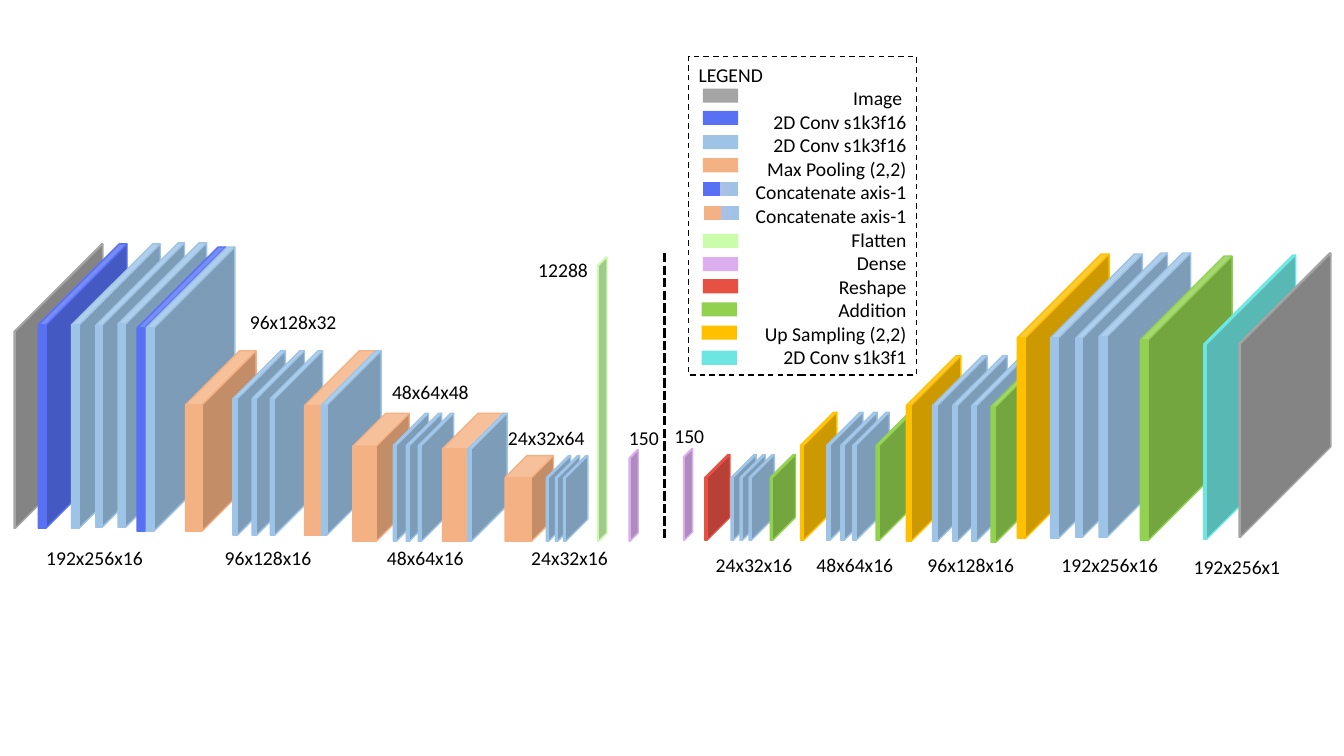
from lxml import etree
from pptx import Presentation
from pptx.dml.color import RGBColor
from pptx.enum.dml import MSO_LINE
from pptx.enum.shapes import MSO_CONNECTOR, MSO_SHAPE
from pptx.enum.text import MSO_ANCHOR, MSO_AUTO_SIZE, PP_ALIGN
from pptx.oxml.ns import qn
from pptx.util import Emu, Pt

CUBE, RECTANGLE = MSO_SHAPE.CUBE, MSO_SHAPE.RECTANGLE
STRAIGHT = MSO_CONNECTOR.STRAIGHT
DASH, SHORT_DASH = MSO_LINE.DASH, MSO_LINE.SQUARE_DOT
LEFT, RIGHT = PP_ALIGN.LEFT, PP_ALIGN.RIGHT
MIDDLE = MSO_ANCHOR.MIDDLE
FIT_TEXT = MSO_AUTO_SIZE.SHAPE_TO_FIT_TEXT

GREY, INDIGO, BLUE, ORANGE = "A5A5A5", "5770F4", "9DC3E6", "F4B183"
MINT, LILAC, RED, GREEN = "CAFCAC", "DDAEEF", "E65144", "92D050"
YELLOW, TEAL, BLACK, WHITE = "FFC000", "6DE6E2", "000000", "FFFFFF"
BLEND = "ABC0E4"
DEPTH = 0.913

# Each stage: layer height, then layers as (left, top, width, colour, depth)
ENCODER = [
    (282, [(14, 242, 88, GREY, 0.986), (38, 242, 88, INDIGO, DEPTH),
           (71, 242, 88, BLUE, DEPTH), (95, 241, 88, BLUE, 0.928),
           (117, 241, 88, BLUE, DEPTH), (136, 245, 88, INDIGO, DEPTH),
           (145, 245, 88, BLUE, DEPTH)]),
    (179, [(184, 348, 70, ORANGE, 0.766)]),
    (183, [(231, 348, 52, BLUE, DEPTH), (250, 348, 52, BLUE, DEPTH),
           (268, 348, 52, BLUE, DEPTH), (302, 348, 71, ORANGE, 0.766),
           (319, 348, 59, BLUE, DEPTH)]),
    (127, [(350, 410, 56, ORANGE, 0.583), (390, 410, 35, BLUE, DEPTH),
           (403, 410, 35, BLUE, DEPTH), (415, 410, 35, BLUE, DEPTH),
           (439, 410, 61, ORANGE, 0.578), (464, 410, 39, BLUE, DEPTH)]),
    (85, [(501, 452, 48, ORANGE, 0.453), (542, 452, 24, BLUE, DEPTH),
          (551, 452, 24, BLUE, DEPTH), (559, 452, 24, BLUE, DEPTH)]),
    (282, [(593, 255, 9, MINT, DEPTH)]),
    (91, [(624, 446, 9, LILAC, DEPTH)]),
]
DECODER = [
    (91, [(678, 445, 9, LILAC, DEPTH)]),
    (85, [(699, 451, 25, RED, DEPTH), (725, 451, 25, BLUE, DEPTH),
          (734, 451, 25, BLUE, DEPTH), (743, 451, 25, BLUE, DEPTH),
          (764, 451, 25, GREEN, DEPTH)]),
    (127, [(794, 409, 36, YELLOW, DEPTH), (820, 409, 36, BLUE, DEPTH),
           (834, 409, 36, BLUE, DEPTH), (846, 409, 36, BLUE, DEPTH),
           (869, 409, 36, GREEN, DEPTH)]),
    (184, [(899, 353, 54, YELLOW, DEPTH), (925, 353, 54, BLUE, DEPTH),
           (945, 353, 54, BLUE, DEPTH), (964, 353, 54, BLUE, DEPTH),
           (983, 354, 54, GREEN, DEPTH)]),
    (282, [(1009, 252, 91, YELLOW, DEPTH), (1042, 252, 91, BLUE, DEPTH),
           (1067, 251, 91, BLUE, 0.928), (1090, 251, 91, BLUE, DEPTH),
           (1131, 254, 91, GREEN, DEPTH), (1194, 253, 91, TEAL, 0.971),
           (1229, 251, 91, GREY, 0.986)]),
]
# Size labels: left, top, width, text
SIZES = [
    (36, 537, 117, "192x256x16"), (238, 303, 107, "96x128x32"),
    (213, 537, 107, "96x128x16"), (379, 372, 97, "48x64x48"),
    (374, 537, 97, "48x64x16"), (494, 418, 97, "24x32x64"),
    (517, 537, 97, "24x32x16"), (524, 251, 70, "12288"),
    (614, 418, 50, "150"), (659, 416, 50, "150"),
    (700, 544, 97, "24x32x16"), (800, 544, 97, "48x64x16"),
    (910, 544, 107, "96x128x16"), (1043, 544, 117, "192x256x16"),
    (1174, 546, 107, "192x256x1"),
]
# Legend entries: swatch left, swatch top, colours, text
LEGEND = [
    (697, 88, [GREY], "Image "),
    (697, 110, [INDIGO], "2D Conv s1k3f16"),
    (697, 134, [BLUE], "2D Conv s1k3f16"),
    (697, 157, [ORANGE], "Max Pooling (2,2)"),
    (697, 181, [INDIGO, BLUE], "Concatenate axis-1"),
    (698, 204, [ORANGE, BLUE], "Concatenate axis-1"),
    (697, 232, [MINT], "Flatten"),
    (697, 255, [LILAC], "Dense"),
    (697, 277, [RED], "Reshape"),
    (696, 300, [GREEN], "Addition"),
    (696, 323, [YELLOW], "Up Sampling (2,2)"),
    (696, 348, [TEAL], "2D Conv s1k3f1"),
]


def px(length):
    return Emu(length * 9144)


def rgb(code):
    return RGBColor.from_string(code)


class Diagram:
    """Draws on one slide, at 100 px to the inch."""

    def __init__(self, slide, font="Calibri", size=14):
        self.shapes = slide.shapes
        self.font = font
        self.size = size

    def block(self, kind, left, top, width, height, colour, outline=None):
        shape = self.shapes.add_shape(
            kind, px(left), px(top), px(width), px(height))
        shape.shadow.inherit = False
        shape.fill.solid()
        shape.fill.fore_color.rgb = rgb(colour)
        if outline:
            shape.line.color.rgb = rgb(outline)
            shape.line.width = Pt(1)
        else:
            shape.line.fill.background()
        return shape

    def layer(self, left, top, width, height, colour, depth):
        cube = self.block(CUBE, left, top, width, height, colour, colour)
        cube.adjustments[0] = depth

    def style_text(self, frame, align):
        for paragraph in frame.paragraphs:
            paragraph.alignment = align
            for run in paragraph.runs:
                run.font.name = self.font
                run.font.size = Pt(self.size)
                run.font.color.rgb = rgb(BLACK)

    def label(self, left, top, width, text):
        frame = self.shapes.add_textbox(
            px(left), px(top), px(width), px(34)).text_frame
        frame.text = text
        frame.word_wrap = False
        frame.auto_size = FIT_TEXT
        self.style_text(frame, LEFT)

    def divider(self, x, top, bottom):
        line = self.shapes.add_connector(
            STRAIGHT, px(x), px(top), px(x), px(bottom))
        line.line.color.rgb = rgb(BLACK)
        line.line.width = Pt(2.25)
        line.line.dash_style = SHORT_DASH
        etree.SubElement(line.element.spPr, qn("a:effectLst"))

    def legend_box(self, left, top, width, height, lines):
        box = self.block(RECTANGLE, left, top, width, height, WHITE, BLACK)
        box.line.dash_style = DASH
        frame = box.text_frame
        frame.text = "\n".join(lines)
        frame.word_wrap = True
        frame.vertical_anchor = MIDDLE
        self.style_text(frame, RIGHT)
        frame.paragraphs[0].alignment = LEFT

    def swatch(self, left, top, colours):
        shape = self.block(RECTANGLE, left, top, 35, 14, colours[0])
        if len(colours) == 2:
            self.split_fill(shape, *colours)

    def split_fill(self, shape, first, second):
        """Fill with a gradient that changes sharply near the middle."""
        shape.fill.gradient()
        shape.fill.gradient_angle = 0
        stops = shape.element.spPr.find(
            qn("a:gradFill")).find(qn("a:gsLst"))
        for stop in list(stops):
            stops.remove(stop)
        for percent, colour in [(0, first), (48, first),
                                (48, BLEND), (100, second)]:
            stop = etree.SubElement(
                stops, qn("a:gs"), pos=str(percent * 1000))
            etree.SubElement(stop, qn("a:srgbClr"), val=colour)


def main():
    deck = Presentation()
    deck.slide_width, deck.slide_height = px(1333), px(750)
    diagram = Diagram(deck.slides.add_slide(deck.slide_layouts[6]))

    for height, layers in ENCODER + DECODER:
        for left, top, width, colour, depth in layers:
            diagram.layer(left, top, width, height, colour, depth)
    for size_label in SIZES:
        diagram.label(*size_label)
    diagram.divider(659, 251, 537)

    names = [name for *_, name in LEGEND]
    diagram.legend_box(683, 56, 226, 316, ["LEGEND"] + names)
    for left, top, colours, _ in LEGEND:
        diagram.swatch(left, top, colours)

    deck.save("out.pptx")


if __name__ == "__main__":
    main()
